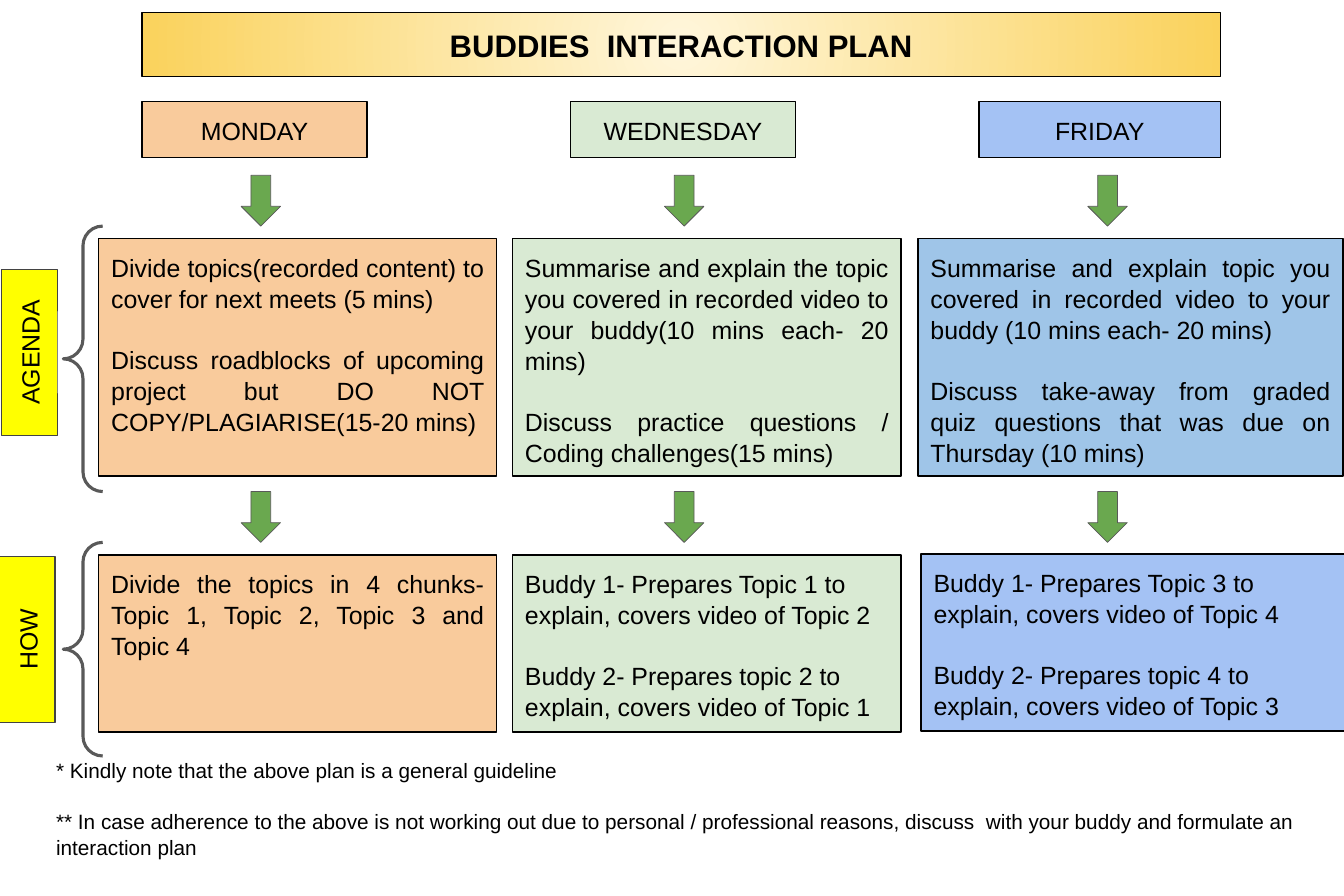
from dataclasses import dataclass
from typing import Any, Optional

import lxml.etree
import pptx
import pptx.dml.color
import pptx.enum.shapes
import pptx.enum.text
import pptx.oxml.ns
import pptx.util

Pt = pptx.util.Pt
RGBColor = pptx.dml.color.RGBColor
Kind = pptx.enum.shapes.MSO_SHAPE
Align = pptx.enum.text.PP_ALIGN
Anchor = pptx.enum.text.MSO_ANCHOR
qn = pptx.oxml.ns.qn

BLACK = RGBColor(0x00, 0x00, 0x00)
GRAY = RGBColor(0x59, 0x59, 0x59)
DARK_GRAY = RGBColor(0x43, 0x43, 0x43)
ORANGE = RGBColor(0xF9, 0xCB, 0x9C)
MINT = RGBColor(0xD9, 0xEA, 0xD3)
PERIWINKLE = RGBColor(0xA4, 0xC2, 0xF4)
SKY = RGBColor(0x9F, 0xC5, 0xE8)
YELLOW = RGBColor(0xFF, 0xFF, 0x00)
GREEN = RGBColor(0x6A, 0xA8, 0x4F)
CREAM = RGBColor(0xFF, 0xF6, 0xDB)
GOLD = RGBColor(0xFA, 0xD2, 0x5C)

FONT = "Arial"
LINE_SPACING = 1.04
LINE_HEIGHT = 1.15 * LINE_SPACING
BOX_INSET = 12.24
NOTE_INSET = 7.2


@dataclass(frozen=True)
class Area:
    left: float
    top: float
    width: float
    height: float

    def lengths(self) -> tuple:
        return Pt(self.left), Pt(self.top), Pt(self.width), Pt(self.height)


@dataclass(frozen=True)
class Box:
    area: Area
    paragraphs: tuple[str, ...]
    fill: Optional[RGBColor]
    alignment: Any = Align.CENTER
    anchor: Any = Anchor.MIDDLE
    line: RGBColor = BLACK
    line_width: float = 1.5
    rotation: float = 0
    size: float = 24
    bold: bool = False


@dataclass(frozen=True)
class Day:
    name: str
    header: Area
    agenda_area: Area
    how_area: Area
    header_fill: RGBColor
    agenda_fill: RGBColor
    agenda: tuple[str, ...]
    how: tuple[str, ...]
    how_alignment: Any = Align.LEFT


def apply_format(target: Any, values: dict[str, Any]) -> None:
    for name, value in values.items():
        setattr(target, name, value)


def write_text(shape: Any, paragraphs: tuple[str, ...], size: float, inset: float,
               alignment: Any, anchor: Any, bold: bool = False) -> None:
    frame = shape.text_frame
    apply_format(frame, {
        "word_wrap": True, "vertical_anchor": anchor,
        "margin_left": Pt(inset), "margin_right": Pt(inset),
        "margin_top": Pt(inset), "margin_bottom": Pt(inset),
    })
    for index, text in enumerate(paragraphs):
        paragraph = frame.add_paragraph() if index else frame.paragraphs[0]
        apply_format(paragraph, {
            "alignment": alignment, "line_spacing": LINE_SPACING,
            "space_before": Pt(size * LINE_HEIGHT if index else 0),
        })
        run = paragraph.add_run()
        run.text = text
        apply_format(run.font, {"name": FONT, "size": Pt(size), "bold": bold})
        run.font.color.rgb = BLACK


def add_outline(slide: Any, kind: Any, area: Area, fill: Optional[RGBColor],
                line: RGBColor, line_width: float) -> Any:
    shape = slide.shapes.add_shape(kind, *area.lengths())
    shape.shadow.inherit = False
    if fill is None:
        shape.fill.background()
    else:
        shape.fill.solid()
        shape.fill.fore_color.rgb = fill
    shape.line.color.rgb = line
    shape.line.width = Pt(line_width)
    return shape


def add_box(slide: Any, box: Box) -> Any:
    shape = add_outline(slide, Kind.RECTANGLE, box.area, box.fill, box.line, box.line_width)
    shape.rotation = box.rotation
    write_text(shape, box.paragraphs, box.size, BOX_INSET, box.alignment, box.anchor, box.bold)
    return shape


def add_radial_gradient(shape: Any, center: RGBColor, edge: RGBColor) -> None:
    shape.fill.gradient()
    for stop, position, color in zip(shape.fill.gradient_stops, (0, 1), (center, edge)):
        stop.position = position
        stop.color.rgb = color
    gradient = shape.element.spPr.find(qn("a:gradFill"))
    linear = gradient.find(qn("a:lin"))
    radial = lxml.etree.Element(qn("a:path"), {"path": "circle"})
    lxml.etree.SubElement(radial, qn("a:fillToRect"), dict.fromkeys("ltrb", "50000"))
    gradient.replace(linear, radial)


def add_day(slide: Any, day: Day) -> None:
    add_box(slide, Box(day.header, (day.name,), day.header_fill))
    add_box(slide, Box(day.agenda_area, day.agenda, day.agenda_fill, Align.JUSTIFY, Anchor.TOP))
    add_box(slide, Box(day.how_area, day.how, day.header_fill, day.how_alignment, Anchor.TOP))


DAYS = (
    Day("MONDAY", Area(137, 98, 217, 54), Area(95, 230, 384, 229), Area(95, 535, 384, 171),
        ORANGE, ORANGE,
        ("Divide topics(recorded content) to cover for next meets (5 mins)",
         "Discuss roadblocks of upcoming project but DO NOT COPY/PLAGIARISE(15-20 mins)"),
        ("Divide the topics in 4 chunks- Topic 1, Topic 2, Topic 3 and Topic 4",),
        Align.JUSTIFY),
    Day("WEDNESDAY", Area(550, 98, 217, 54), Area(494, 230, 375, 229), Area(494, 535, 375, 171),
        MINT, MINT,
        ("Summarise and explain the topic you covered in recorded video to your buddy"
         "(10 mins each- 20 mins)",
         "Discuss practice questions / Coding challenges(15 mins)"),
        ("Buddy 1- Prepares Topic 1 to explain, covers video of Topic 2",
         "Buddy 2- Prepares topic 2 to explain, covers video of Topic 1")),
    Day("FRIDAY", Area(944, 98, 233, 54), Area(885, 230, 410, 229), Area(888, 534, 410, 171),
        PERIWINKLE, SKY,
        ("Summarise and explain topic you covered in recorded video to your buddy "
         "(10 mins each- 20 mins)",
         "Discuss take-away from graded quiz questions that was due on Thursday (10 mins)"),
        ("Buddy 1- Prepares Topic 3 to explain, covers video of Topic 4",
         "Buddy 2- Prepares topic 4 to explain, covers video of Topic 3")),
)
ROW_LABELS = (
    Box(Area(-52, 312.5, 160, 54), ("AGENDA",), YELLOW,
        line=DARK_GRAY, line_width=0.75, rotation=270),
    Box(Area(-54, 589.5, 160, 54), ("HOW",), YELLOW, line=DARK_GRAY, rotation=270),
)
BRACES = (Area(61, 218, 38, 256), Area(61, 523, 38, 206))
ARROW_LEFT, ARROW_STEP, ARROW_TOPS = 232.5, 408.25, (169, 474)
TITLE = Box(Area(137, 12, 1040, 62), ("BUDDIES  INTERACTION PLAN",), GOLD, size=30, bold=True)
NOTES_AREA = Area(47, 723, 1232, 112)
NOTES = (
    "* Kindly note that the above plan is a general guideline",
    "** In case adherence to the above is not working out due to personal / professional "
    "reasons, discuss  with your buddy and formulate an interaction plan",
)

presentation = pptx.Presentation()
apply_format(presentation, {"slide_width": Pt(1296), "slide_height": Pt(864)})
slide = presentation.slides.add_slide(presentation.slide_layouts[6])

for day in DAYS:
    add_day(slide, day)
add_radial_gradient(add_box(slide, TITLE), CREAM, GOLD)
for label in ROW_LABELS:
    add_box(slide, label)
for area in BRACES:
    brace = add_outline(slide, Kind.LEFT_BRACE, area, None, GRAY, 3)
    brace.adjustments[0] = 0.5
for top in ARROW_TOPS:
    for column in range(len(DAYS)):
        area = Area(ARROW_LEFT + column * ARROW_STEP, top, 38, 49)
        add_outline(slide, Kind.DOWN_ARROW, area, GREEN, GRAY, 0.75)
notes = slide.shapes.add_textbox(*NOTES_AREA.lengths())
write_text(notes, NOTES, 20, NOTE_INSET, Align.LEFT, Anchor.TOP)

presentation.save("out.pptx")
